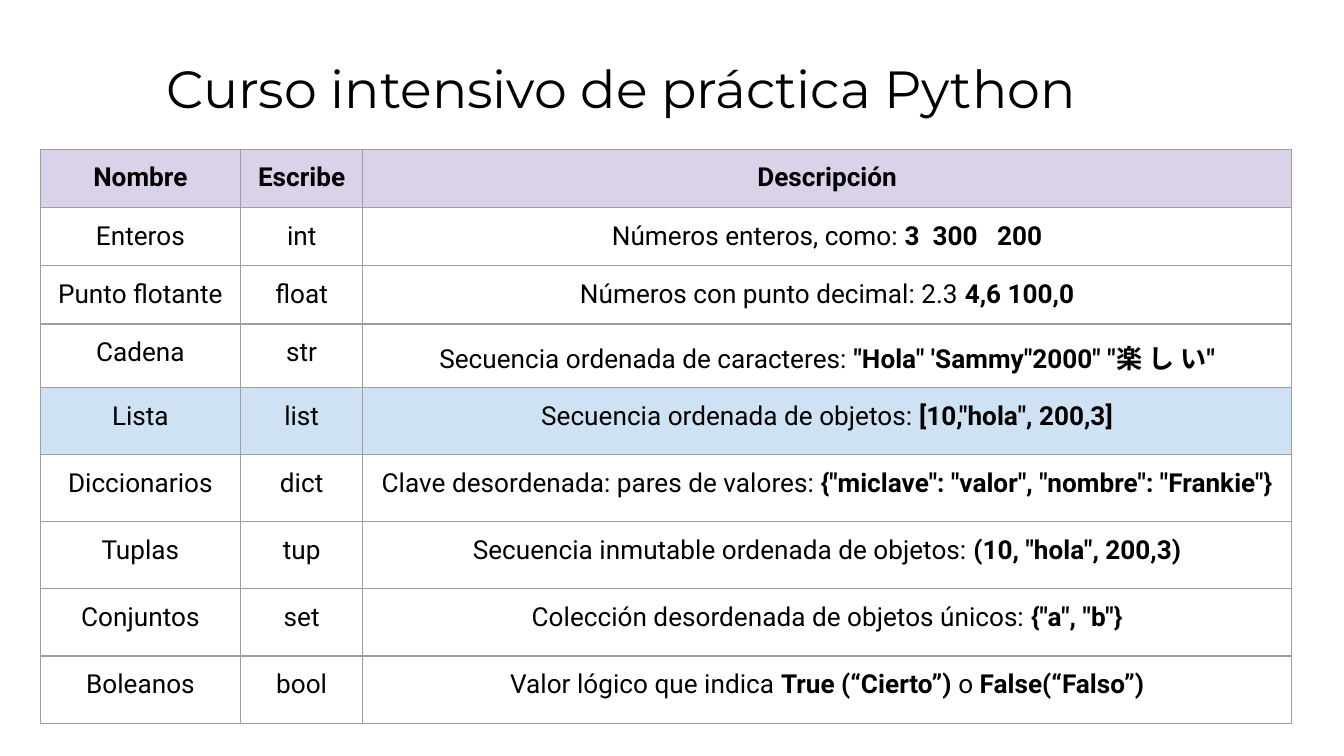
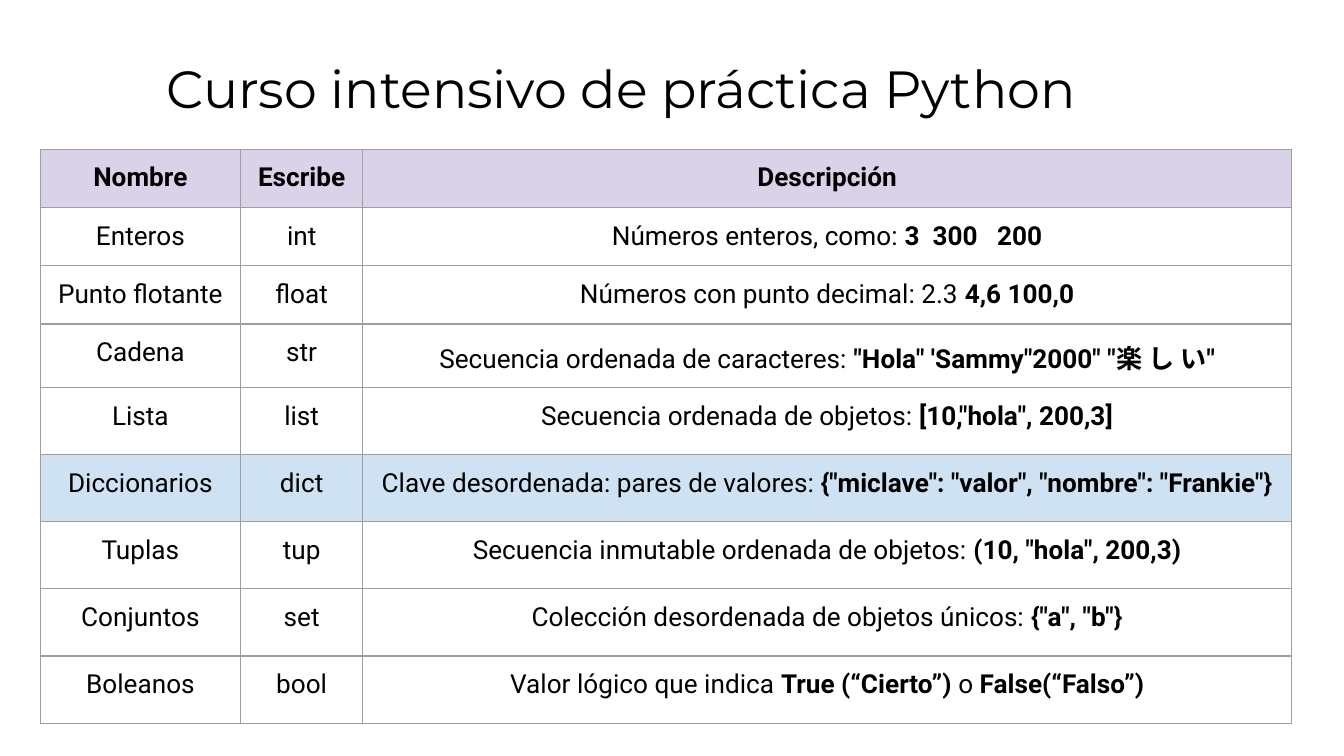
import pptx
import pptx.dml.color
import pptx.enum.text
import pptx.oxml
import pptx.oxml.ns
import pptx.util
from pptx.util import Inches

COLOURS = {
    "text": "000000",
    "header": "D9D2E9",
    "highlight": "CFE2F3",
    "border": "9E9E9E",
}
TITLE = "Curso intensivo de práctica Python"
TITLE_FONT = "Montserrat"
TABLE_FONT = "Roboto"
MARGIN = Inches(0.1)

COLUMN_WIDTHS = [1.49, 0.91, 6.91]
ROW_HEIGHTS = [0.39, 0.36, 0.32, 0.47] + [0.5] * 5

# Double asterisks switch bold on and off
DATA_TYPES = [
    ("**Nombre**", "**Escribe**", "**Descripción**"),
    ("Enteros", "int", "Números enteros, como: **3  300   200**"),
    ("Punto flotante", "float", "Números con punto decimal: 2.3** 4,6 100,0**"),
    ("Cadena", "str",
     "Secuencia ordenada de caracteres: **\"Hola\" 'Sammy\"2000\" \"楽 し い\"**"),
    ("Lista", "list", 'Secuencia ordenada de objetos: **[10,"hola", 200,3]**'),
    ("Diccionarios", "dict",
     'Clave desordenada: pares de valores: **{"miclave": "valor", "nombre": "Frankie"}**'),
    ("Tuplas", "tup", 'Secuencia inmutable ordenada de objetos: **(10, "hola", 200,3)**'),
    ("Conjuntos", "set", 'Colección desordenada de objetos únicos: **{"a", "b"}**'),
    ("Boleanos", "bool",
     "Valor lógico que indica **True (“Cierto”) **o **False(“Falso”)**"),
]
HIGHLIGHTED_TYPES = ["Lista", "Diccionarios"]


def colour(name):
    return pptx.dml.color.RGBColor.from_string(COLOURS[name])


def format_run(run, font_name, size, bold=False):
    run.font.name = font_name
    run.font.size = pptx.util.Pt(size)
    run.font.bold = bold
    run.font.color.rgb = colour("text")


def set_margins(target):
    target.margin_left = target.margin_right = MARGIN
    target.margin_top = target.margin_bottom = MARGIN


def add_title(slide):
    shape = slide.shapes.add_textbox(Inches(1.14), Inches(0.32), Inches(8.52), Inches(0.63))
    text_frame = shape.text_frame
    text_frame.word_wrap = True
    text_frame.vertical_anchor = pptx.enum.text.MSO_ANCHOR.TOP
    set_margins(text_frame)
    text_frame.text = TITLE
    format_run(text_frame.paragraphs[0].runs[0], TITLE_FONT, 28)


def add_borders(cell):
    properties = cell._tc.get_or_add_tcPr()
    for side in ("lnL", "lnR", "lnT", "lnB"):
        properties.append(pptx.oxml.parse_xml(
            f'<a:{side} {pptx.oxml.ns.nsdecls("a")} w="{pptx.util.Pt(0.75)}">'
            f'<a:solidFill><a:srgbClr val="{COLOURS["border"]}"/></a:solidFill>'
            f'<a:prstDash val="solid"/></a:{side}>'))


def fill_cell(cell, marked_text, fill_name):
    set_margins(cell)
    add_borders(cell)
    if fill_name:
        cell.fill.solid()
        cell.fill.fore_color.rgb = colour(fill_name)
    else:
        cell.fill.background()

    paragraph = cell.text_frame.paragraphs[0]
    paragraph.alignment = pptx.enum.text.PP_ALIGN.CENTER
    for index, part in enumerate(marked_text.split("**")):
        if part:
            run = paragraph.add_run()
            run.text = part
            format_run(run, TABLE_FONT, 14, bold=index % 2 == 1)


def add_types_table(slide, highlighted_type):
    table = slide.shapes.add_table(
        len(DATA_TYPES), len(COLUMN_WIDTHS), Inches(0.3), Inches(1.11),
        Inches(sum(COLUMN_WIDTHS)), Inches(sum(ROW_HEIGHTS))).table
    table.first_row = False
    table.horz_banding = False
    for column, width in zip(table.columns, COLUMN_WIDTHS):
        column.width = Inches(width)

    for index, (row, height, texts) in enumerate(zip(table.rows, ROW_HEIGHTS, DATA_TYPES)):
        row.height = Inches(height)
        fill_name = None
        if index == 0:
            fill_name = "header"
        elif texts[0] == highlighted_type:
            fill_name = "highlight"
        for cell, text in zip(row.cells, texts):
            fill_cell(cell, text, fill_name)


def main():
    presentation = pptx.Presentation()
    # Widescreen, 16:9
    presentation.slide_width = Inches(10)
    presentation.slide_height = Inches(10 * 9 / 16)
    blank_layout = presentation.slide_layouts[6]

    # One slide per highlighted data type
    for highlighted_type in HIGHLIGHTED_TYPES:
        slide = presentation.slides.add_slide(blank_layout)
        add_title(slide)
        add_types_table(slide, highlighted_type)

    presentation.save("out.pptx")


if __name__ == "__main__":
    main()
